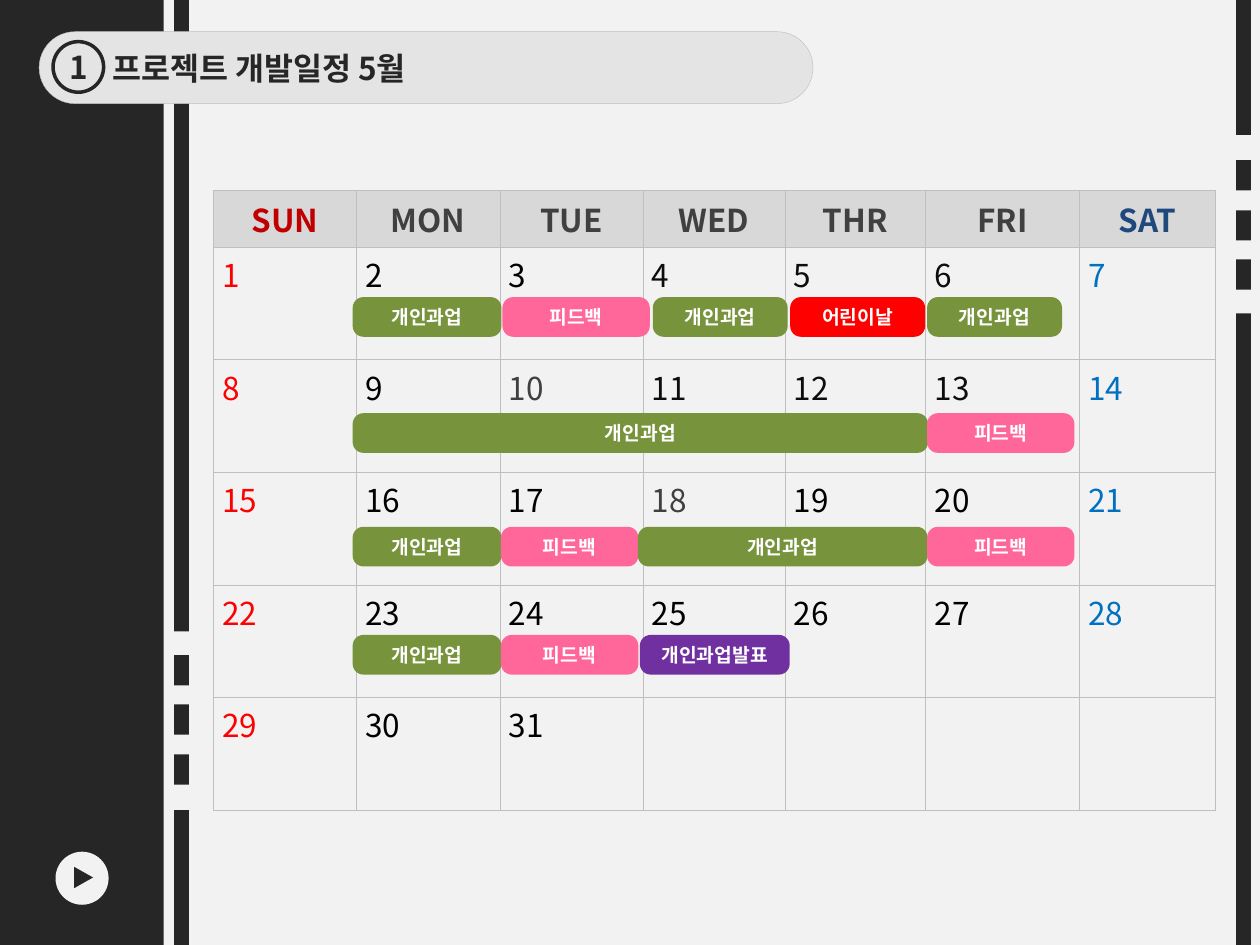
from dataclasses import dataclass

from lxml.etree import SubElement
from pptx import Presentation
from pptx.dml.color import RGBColor as RGB
from pptx.enum.shapes import MSO_SHAPE as Shape
from pptx.enum.text import MSO_ANCHOR as Anchor, PP_ALIGN as Align
from pptx.oxml.ns import qn
from pptx.util import Cm, Pt


@dataclass(frozen=True)
class Theme:
    font: str = "Noto Sans CJK KR"
    paper: str = "F2F2F2"
    ink: str = "262626"
    banner: str = "E4E4E4"
    grid: str = "BFBFBF"
    muted: str = "404040"
    black: str = "000000"
    soft_black: str = "0D0D0D"
    sunday_head: str = "C00000"
    saturday_head: str = "1F497D"
    sunday: str = "FF0000"
    saturday: str = "0070C0"
    work: str = "77933C"
    feedback: str = "FF6699"
    holiday: str = "FF0000"
    presentation: str = "7030A0"
    white: str = "FFFFFF"
    large: int = 18
    small: int = 11


theme = Theme()


def add_figure(parent, kind, box, fill=None, line=None, weight=2):
    """Add a shadowless preset shape; box is left, top, width, height in cm."""
    figure = parent.add_shape(kind, *(Cm(length) for length in box))
    figure.shadow.inherit = False
    if fill:
        figure.fill.solid()
        figure.fill.fore_color.rgb = RGB.from_string(fill)
    else:
        figure.fill.background()
    if line:
        figure.line.color.rgb = RGB.from_string(line)
        figure.line.width = Pt(weight)
    else:
        figure.line.fill.background()
    return figure


def write(frame, text, color, size, bold=True, align=Align.CENTER, **frame_format):
    for name, value in frame_format.items():
        setattr(frame, name, value)
    paragraph = frame.paragraphs[0]
    paragraph.alignment = align
    run = paragraph.add_run()
    run.text = text
    for name, value in {"name": theme.font, "size": Pt(size), "bold": bold}.items():
        setattr(run.font, name, value)
    run.font.color.rgb = RGB.from_string(color)
    SubElement(run.font._element, qn("a:ea"), typeface=theme.font)
    return paragraph


deck = Presentation()
deck.slide_width, deck.slide_height = Cm(25.4), Cm(19.05)
slide = deck.slides.add_slide(deck.slide_layouts[6])
slide.background.fill.solid()
slide.background.fill.fore_color.rgb = RGB.from_string(theme.paper)
shapes = slide.shapes

# Side panel and the two broken rails; the right rail is the left one upside down
add_figure(shapes, Shape.RECTANGLE, (0, 0, 3.3, 19.05), theme.ink)
rail_pieces = [(0, 12.73), (13.21, 0.61), (14.2, 0.61), (15.21, 0.61), (16.33, 2.72)]
for rail_left, flipped in [(3.51, False), (24.92, True)]:
    rail = shapes.add_group_shape().shapes
    for top, height in rail_pieces:
        piece_top = 19.05 - top - height if flipped else top
        add_figure(rail, Shape.RECTANGLE, (rail_left, piece_top, 0.3, height), theme.ink)

# Title banner
banner = add_figure(shapes, Shape.ROUNDED_RECTANGLE, (0.79, 0.64, 15.6, 1.45),
                    theme.banner, theme.grid, 0.25)
banner.adjustments[0] = 0.5
write(banner.text_frame, "프로젝트 개발일정 5월", theme.ink, theme.large, align=Align.LEFT,
      margin_left=Cm(1.26), vertical_anchor=Anchor.MIDDLE, word_wrap=True)

# Play badge
badge = shapes.add_group_shape().shapes
add_figure(badge, Shape.OVAL, (1.12, 17.17, 1.07, 1.07), theme.paper)
arrow = add_figure(badge, Shape.ISOSCELES_TRIANGLE, (1.47, 17.5, 0.43, 0.38), theme.ink)
arrow.rotation = 90

number = add_figure(shapes, Shape.OVAL, (1.07, 0.84, 1.02, 1.02), line=theme.ink)
write(number.text_frame, "1", theme.ink, theme.large, margin_left=0, margin_right=0,
      margin_top=0, margin_bottom=0, vertical_anchor=Anchor.MIDDLE, word_wrap=False)

# Calendar
weekdays = ["SUN", "MON", "TUE", "WED", "THR", "FRI", "SAT"]
column_widths = [2.88, 2.9, 2.88, 2.86, 2.84, 3.1, 2.74]
row_heights = [1.14] + [2.27] * 5
last_day = 31
head_colors = {0: theme.sunday_head, 6: theme.saturday_head}
weekend_colors = {0: theme.sunday, 6: theme.saturday}
day_colors = {10: theme.muted, 18: theme.muted}
day_colors.update(dict.fromkeys([4, 5, 6, 11, 12, 13], theme.soft_black))
cell_margins = {"margin_left": Cm(0.18), "margin_right": Cm(0.18),
                "margin_top": Cm(0.08), "margin_bottom": Cm(0.08)}

calendar = shapes.add_table(len(row_heights), len(weekdays), Cm(4.3), Cm(3.84),
                            Cm(sum(column_widths)), Cm(sum(row_heights))).table
calendar.first_row = calendar.horz_banding = False
for column, width in zip(calendar.columns, column_widths):
    column.width = Cm(width)
for row, height in zip(calendar.rows, row_heights):
    row.height = Cm(height)

for week, row in enumerate(calendar.rows):
    for weekday, cell in enumerate(row.cells):
        for name, value in cell_margins.items():
            setattr(cell, name, value)
        properties = cell._tc.get_or_add_tcPr()
        for side in ("a:lnL", "a:lnR", "a:lnT", "a:lnB"):
            border = SubElement(properties, qn(side), w=str(Pt(0.25)))
            border_fill = SubElement(border, qn("a:solidFill"))
            SubElement(border_fill, qn("a:srgbClr"), val=theme.grid)
        day = (week - 1) * 7 + weekday + 1
        if week == 0:
            cell.fill.solid()
            cell.fill.fore_color.rgb = RGB.from_string(theme.grid)
            tint = properties.find(qn("a:solidFill")).find(qn("a:srgbClr"))
            SubElement(tint, qn("a:alpha"), val="50000")
            cell.vertical_anchor = Anchor.MIDDLE
            heading = write(cell.text_frame, weekdays[weekday],
                            head_colors.get(weekday, theme.muted), theme.large)
            heading.space_before = Pt(3.6)
            continue
        cell.fill.background()
        if day <= last_day:
            color = weekend_colors.get(weekday, day_colors.get(day, theme.black))
            write(cell.text_frame, str(day), color, theme.large, bold=False, align=Align.LEFT)

# Tasks: for each week its top, then (label, color, left, width)
work = ("개인과업", theme.work)
feedback = ("피드백", theme.feedback)
holiday = ("어린이날", theme.holiday)
presentation = ("개인과업발표", theme.presentation)
schedule = {
    5.99: [(*work, 7.11, 3), (*feedback, 10.13, 2.97), (*work, 13.16, 2.72),
           (*holiday, 15.93, 2.72), (*work, 18.69, 2.72)],
    8.33: [(*work, 7.11, 11.6), (*feedback, 18.69, 2.97)],
    10.62: [(*work, 7.11, 3), (*feedback, 10.1, 2.77), (*work, 12.86, 5.84),
            (*feedback, 18.69, 2.97)],
    12.8: [(*work, 7.11, 3), (*feedback, 10.1, 2.77), (*presentation, 12.9, 3.02)],
}
for top, tasks in schedule.items():
    for label, color, left, width in tasks:
        task = add_figure(shapes, Shape.ROUNDED_RECTANGLE, (left, top, width, 0.8), color)
        task.adjustments[0] = 0.27
        write(task.text_frame, label, theme.white, theme.small,
              margin_left=0, margin_right=0, vertical_anchor=Anchor.MIDDLE, word_wrap=True)

deck.save("out.pptx")
